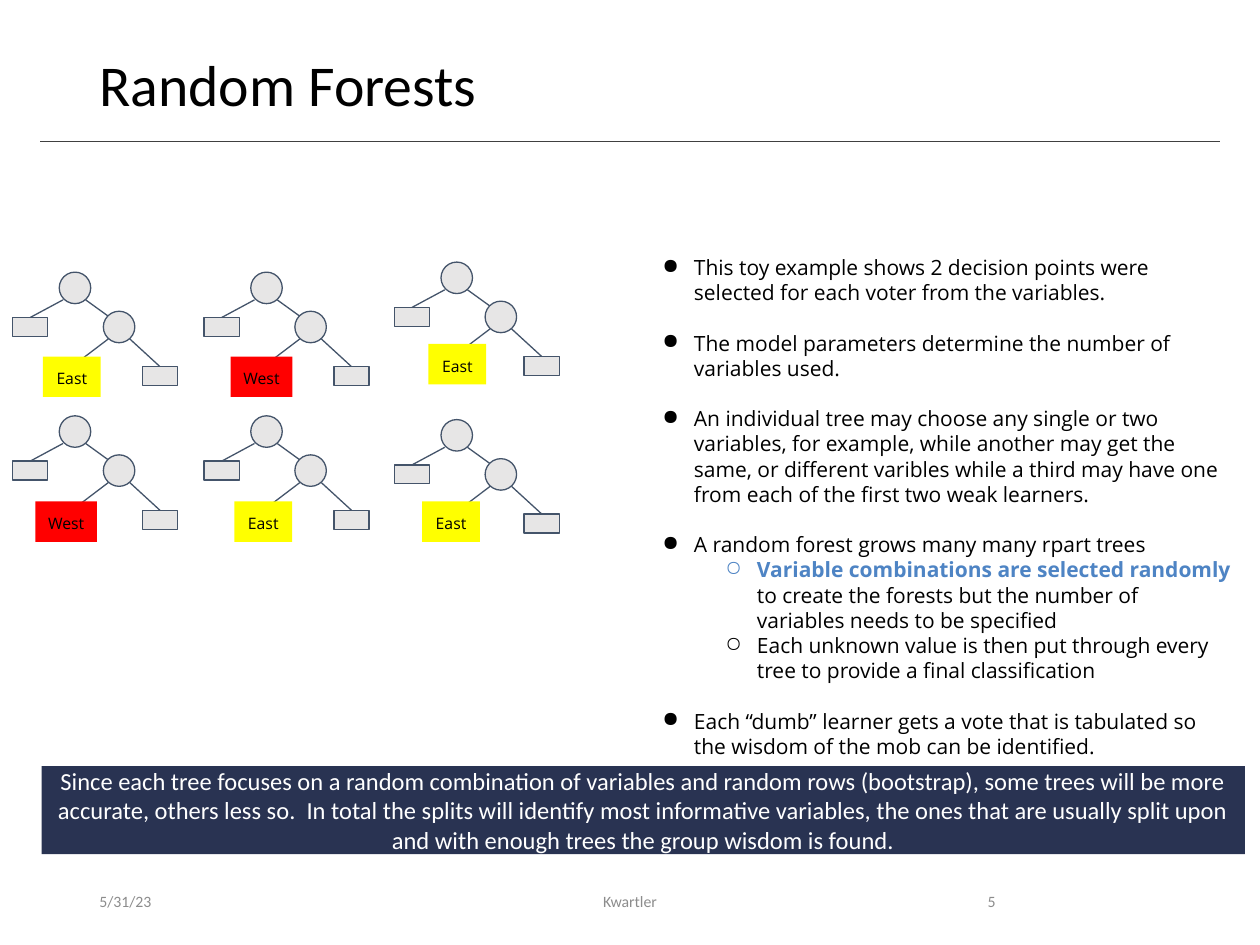
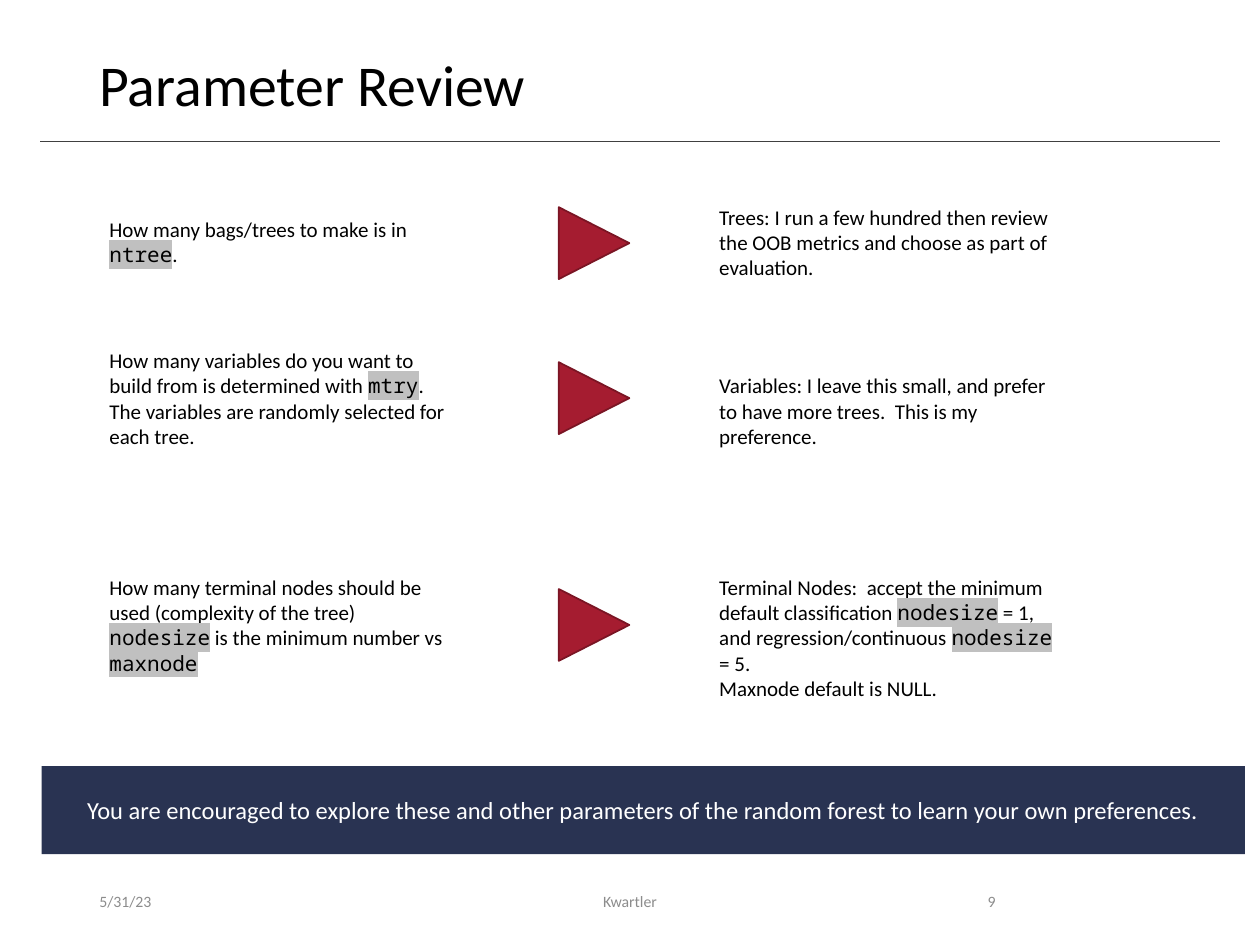
"""Build two slides on random forests and their parameters."""
from dataclasses import dataclass
from typing import Any, NamedTuple

from lxml.etree import SubElement
from pptx import Presentation
from pptx.dml.color import RGBColor as Rgb
from pptx.enum.shapes import MSO_CONNECTOR as Link, MSO_SHAPE as Kind
from pptx.enum.text import MSO_ANCHOR as Anchor, PP_ALIGN as Align
from pptx.oxml.ns import qn
from pptx.util import Inches, Pt


@dataclass(frozen=True)
class Theme:
    ink: str = "000000"
    white: str = "FFFFFF"
    rule: str = "404040"
    muted: str = "8C8C8C"
    navy: str = "293352"
    crimson: str = "A51C30"
    maroon: str = "7A1524"
    blue: str = "4E84C4"
    slate: str = "44546A"
    pale: str = "E7E6E6"
    silver: str = "C0C0C0"
    yellow: str = "FFFF00"
    red: str = "FF0000"
    sans: str = "Calibri"
    open: str = "Open Sans"
    mono: str = "Noto Sans Mono"
    title: float = 33
    band: float = 14
    body: float = 12
    small: float = 9
    pitch: float = 14.4


THEME = Theme()


class Box(NamedTuple):
    left: float
    top: float
    width: float
    height: float


class Point(NamedTuple):
    text: str
    level: int = 0
    gap: bool = True


class Tree(NamedTuple):
    left: float
    top: float
    vote: str
    tag_left: float
    tag_top: float


class Pair(NamedTuple):
    ask: str
    ask_box: Box
    reply: str
    reply_box: Box
    arrow_top: float


POINTS = [
    Point("This toy example shows 2 decision points were selected for each voter from the variables.", gap=False),
    Point("The model parameters determine the number of variables used."),
    Point("An individual tree may choose any single or two variables, for example, while another may get "
          "the same, or different varibles while a third may have one from each of the first two weak learners."),
    Point("A random forest grows many many rpart trees"),
    Point("`Variable combinations are selected randomly `to create the forests but the number of variables "
          "needs to be specified", 1, False),
    Point("Each unknown value is then put through every tree to provide a final classification", 1, False),
    Point("Each “dumb” learner gets a vote that is tabulated so the wisdom of the mob can be identified."),
]
TREES = [
    Tree(0.1, 2.16, "East", 0.34, 2.83),
    Tree(1.62, 2.16, "West", 1.83, 2.83),
    Tree(3.13, 2.08, "East", 3.4, 2.73),
    Tree(0.1, 3.3, "West", 0.28, 3.98),
    Tree(1.62, 3.3, "East", 1.86, 3.98),
    Tree(3.13, 3.33, "East", 3.35, 3.98),
]
TAGS = {"East": (0.46, THEME.yellow), "West": (0.49, THEME.red)}
EDGES = [(0.4, 0.22, 0.14, 0.36), (0.58, 0.22, 0.76, 0.35),
         (0.76, 0.53, 0.47, 0.75), (0.93, 0.53, 1.17, 0.75)]
NODES = [(0.37, 0), (0.72, 0.31)]
LEAVES = [(0, 0.36), (1.03, 0.75)]
ASK_LEFT, REPLY_LEFT, PAIR_WIDTH = 0.77, 5.61, 2.91
PAIRS = [
    Pair("How many bags/trees to make is in `ntree`.",
         Box(ASK_LEFT, 1.67, PAIR_WIDTH, 0.5),
         "Trees: I run a few hundred then review the OOB metrics and choose as part of evaluation.",
         Box(REPLY_LEFT, 1.57, PAIR_WIDTH, 0.71), 1.65),
    Pair("How many variables do you want to build from is determined with `mtry`.  "
         "The variables are randomly selected for each tree.",
         Box(ASK_LEFT, 2.71, PAIR_WIDTH, 0.91),
         "Variables: I leave this small, and prefer to have more trees.  This is my preference.",
         Box(REPLY_LEFT, 2.91, PAIR_WIDTH, 0.71), 2.88),
    Pair("How many terminal nodes should be used (complexity of the tree)\n"
         "`nodesize` is the minimum number vs `maxnode`",
         Box(ASK_LEFT, 4.51, PAIR_WIDTH, 0.91),
         "Terminal Nodes:  accept the minimum default classification `nodesize` = 1, "
         "and regression/continuous `nodesize` = 5.\nMaxnode default is NULL.",
         Box(REPLY_LEFT, 4.51, PAIR_WIDTH, 1.11), 4.68),
]


def write(shape: Any, text: str, *, size: float = THEME.body, font: str = THEME.sans, color: str = THEME.ink,
          align: Align = Align.LEFT, anchor: Anchor = Anchor.TOP, inset: float = 0.05, wrap: bool = True,
          accent: bool = False, spacing: Any = None) -> list:
    frame = shape.text_frame
    frame.word_wrap, frame.vertical_anchor = wrap, anchor
    frame.margin_left = frame.margin_right = Inches(0.1)
    frame.margin_top = frame.margin_bottom = Inches(inset)
    paras = []
    for row, line in enumerate(text.split("\n")):
        para = frame.add_paragraph() if row else frame.paragraphs[0]
        para.alignment = align
        if spacing:
            para.line_spacing = spacing
        for turn, piece in enumerate(line.split("`")):
            if not piece:
                continue
            marked = turn % 2 == 1
            run = para.add_run()
            run.text = piece
            run.font.size = Pt(size)
            run.font.bold = marked and accent
            run.font.color.rgb = Rgb.from_string(THEME.blue if marked and accent else color)
            run.font.name = THEME.mono if marked and not accent else font
            if marked and not accent:
                light = SubElement(run.font._element, qn("a:highlight"))
                SubElement(light, qn("a:srgbClr"), val=THEME.silver)
                run.font._element.find(qn("a:solidFill")).addnext(light)
        paras.append(para)
    return paras


def place(box: Box) -> list:
    return [Inches(side) for side in box]


def add_text(slide: Any, box: Box, text: str, **style: Any) -> list:
    return write(slide.shapes.add_textbox(*place(box)), text, **style)


def add_form(shapes: Any, kind: Kind, box: Box, fill: str, edge: str = "", weight: float = 0.75) -> Any:
    form = shapes.add_shape(kind, *place(box))
    form.shadow.inherit = False
    form.fill.solid()
    form.fill.fore_color.rgb = Rgb.from_string(fill)
    if edge:
        form.line.color.rgb = Rgb.from_string(edge)
        form.line.width = Pt(weight)
    else:
        form.line.fill.background()
    return form


def add_line(shapes: Any, ends: tuple, color: str, weight: float) -> None:
    line = shapes.add_connector(Link.STRAIGHT, *[Inches(end) for end in ends])
    line.line.color.rgb = Rgb.from_string(color)
    line.line.width = Pt(weight)
    SubElement(line._element.spPr, qn("a:effectLst"))


def add_frame(deck: Any, title: str, band: str, number: str) -> Any:
    slide = deck.slides.add_slide(deck.slide_layouts[6])
    add_line(slide.shapes, (0.32, 1.12, 9.68, 1.12), THEME.rule, 0.5)
    add_text(slide, Box(0.69, 0.4, 8.62, 0.65), title, size=THEME.title, spacing=0.9)
    strip = add_form(slide.shapes, Kind.RECTANGLE, Box(0.33, 6.08, 9.55, 0.7), THEME.navy)
    write(strip, band, size=THEME.band, color=THEME.white, align=Align.CENTER, anchor=Anchor.MIDDLE)
    for left, width, text, align in [(0.69, 2.25, "5/31/23", Align.LEFT),
                                     (3.31, 3.38, "Kwartler", Align.CENTER),
                                     (7.06, 0.94, number, Align.RIGHT)]:
        add_text(slide, Box(left, 6.95, width, 0.4), text, size=THEME.small, color=THEME.muted,
                 align=align, anchor=Anchor.MIDDLE)
    return slide


def add_points(slide: Any) -> None:
    text = "\n".join(point.text for point in POINTS)
    paras = add_text(slide, Box(4.91, 1.92, 4.96, 3.37), text, font=THEME.open, inset=0.1,
                     accent=True, spacing=Pt(THEME.pitch))
    for point, para in zip(POINTS, paras):
        if point.gap:
            para.space_before = Pt(THEME.pitch)
        props = para._p.get_or_add_pPr()
        props.set("marL", str(Inches(0.5 + 0.5 * point.level)))
        props.set("indent", str(Inches(-0.25)))
        SubElement(props, qn("a:buChar"), char="●○"[point.level])


def add_tree(slide: Any, tree: Tree) -> None:
    group = slide.shapes.add_group_shape().shapes
    left, top = tree.left, tree.top
    for x1, y1, x2, y2 in EDGES:
        add_line(group, (left + x1, top + y1, left + x2, top + y2), THEME.slate, 0.75)
    for kind, spots, width, height in [(Kind.OVAL, NODES, 0.25, 0.25), (Kind.RECTANGLE, LEAVES, 0.28, 0.15)]:
        for x, y in spots:
            add_form(group, kind, Box(left + x, top + y, width, height), THEME.pale, THEME.slate)


def add_vote(slide: Any, tree: Tree) -> None:
    width, fill = TAGS[tree.vote]
    tag = add_form(slide.shapes, Kind.RECTANGLE, Box(tree.tag_left, tree.tag_top, width, 0.32), fill)
    write(tag, tree.vote, size=THEME.small, font=THEME.open, align=Align.CENTER, inset=0.1, wrap=False)


def add_pair(slide: Any, pair: Pair) -> None:
    add_text(slide, pair.ask_box, pair.ask)
    add_text(slide, pair.reply_box, pair.reply)
    arrow = add_form(slide.shapes, Kind.ISOSCELES_TRIANGLE, Box(4.43, pair.arrow_top, 0.57, 0.56),
                     THEME.crimson, THEME.maroon, 1)
    arrow.rotation = 90


def main() -> None:
    deck = Presentation()
    deck.slide_width, deck.slide_height = Inches(10), Inches(7.5)
    forest = add_frame(
        deck, "Random Forests",
        "Since each tree focuses on a random combination of variables and random rows (bootstrap), some trees "
        "will be more accurate, others less so.  In total the splits will identify most informative variables, "
        "the ones that are usually split upon and with enough trees the group wisdom is found.", "5")
    add_points(forest)
    for tree in TREES:
        add_tree(forest, tree)
        add_vote(forest, tree)
    review = add_frame(
        deck, "Parameter Review",
        "You are encouraged to explore these and other parameters of the random forest to learn "
        "your own preferences.", "9")
    for pair in PAIRS:
        add_pair(review, pair)
    deck.save("out.pptx")


if __name__ == "__main__":
    main()
